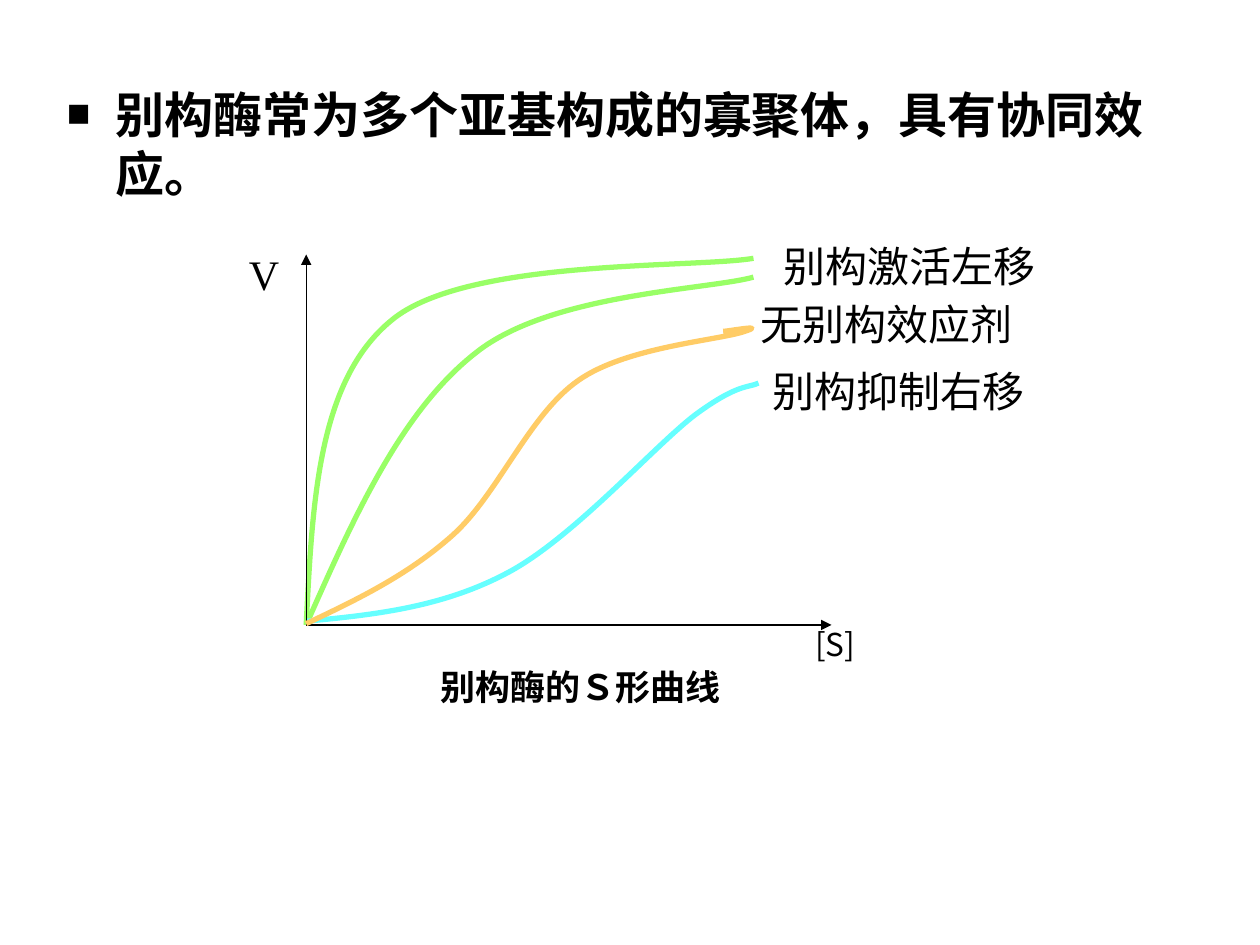
from typing import NamedTuple

from lxml import etree
from pptx import Presentation
from pptx.dml.color import RGBColor
from pptx.enum.shapes import MSO_CONNECTOR
from pptx.enum.text import MSO_ANCHOR, MSO_AUTO_SIZE, PP_ALIGN
from pptx.oxml.ns import qn
from pptx.util import Inches, Pt

LEFT, MID = PP_ALIGN.LEFT, PP_ALIGN.CENTER
SANS, SERIF = "Noto Sans CJK SC", "Times New Roman"
BLACK, GREEN, CYAN, GOLD = "000000", "99FF66", "66FFFF", "FFCC66"

Point = tuple[float, float]


class Curve(NamedTuple):
    color: str
    points: list[Point]  # start, then two controls and an end per section


class Label(NamedTuple):
    text: str
    box: tuple[float, float, float, float]
    size: int = 24
    font: str = SANS
    align: PP_ALIGN = MID
    bold: bool = False


class Axis(NamedTuple):
    end: Point
    width: float


ORIGIN = (2.43, 4.96)
AXES = [Axis((6.6, 4.96), 1.5), Axis((2.43, 2.02), 0.75)]
SHIFTED = [
    Curve(GREEN, [ORIGIN, (2.48, 3.99), (2.52, 3.02), (3.11, 2.54),
                  (3.7, 2.05), (5.51, 2.13), (5.98, 2.05)]),
    Curve(GREEN, [ORIGIN, (2.81, 4.1), (3.19, 3.25), (3.79, 2.79),
                  (4.38, 2.33), (5.62, 2.3), (5.98, 2.2)]),
    Curve(CYAN, [(2.43, 4.93), (2.97, 4.88), (3.51, 4.82), (4.02, 4.55),
                 (4.54, 4.28), (5.19, 3.54), (5.52, 3.29),
                 (5.86, 3.04), (5.94, 3.08), (6.02, 3.04)]),
]
NORMAL = Curve(GOLD, [(2.43, 4.95), (2.83, 4.76), (3.23, 4.57), (3.59, 4.25),
                      (3.95, 3.93), (4.2, 3.29), (4.59, 3.02),
                      (4.97, 2.75), (5.72, 2.7), (5.91, 2.63),
                      (6.1, 2.57), (5.77, 2.63), (5.74, 2.63)])
LABELS = [
    Label("别构激活左移", (5.98, 1.86, 2.48, 0.5)),
    Label("无别构效应剂", (5.94, 2.32, 2.65, 0.5), align=LEFT),
    Label("别构抑制右移", (6.03, 2.85, 2.28, 0.5), align=LEFT),
    Label("别构酶的Ｓ形曲线", (2.72, 5.23, 3.78, 0.44), 20, SERIF, bold=True),
    Label("[S]", (6.22, 4.91, 0.82, 0.4), 18),
    Label("V", (1.85, 1.92, 0.49, 0.5), font=SERIF),
]


def paint(color: str) -> RGBColor:
    return RGBColor.from_string(color)


def style(para, size: int, font: str, bold: bool, align: PP_ALIGN) -> None:
    para.alignment = align
    face = para.font
    face.size, face.name, face.bold = Pt(size), font, bold
    face.color.rgb = paint(BLACK)
    # East Asian face
    props = para._p.get_or_add_pPr().find(qn("a:defRPr"))
    etree.SubElement(props, qn("a:ea"), typeface=SANS)


def add_bullet(para) -> None:
    props = para._p.get_or_add_pPr()
    props.set("marL", str(Inches(0.39)))
    props.set("indent", str(-Inches(0.39)))
    props.set("hangingPunct", "0")  # the full stop wraps with its word
    tint = etree.SubElement(props, qn("a:buClr"))
    etree.SubElement(tint, qn("a:srgbClr"), val=BLACK)
    etree.SubElement(props, qn("a:buSzPct"), val="80000")
    etree.SubElement(props, qn("a:buFont"), typeface=SERIF)
    etree.SubElement(props, qn("a:buChar"), char="■")


def add_title(slide, text: str) -> None:
    title = slide.shapes.title
    title.left, title.top = Inches(0.43), Inches(0.62)
    title.width, title.height = Inches(9.33), Inches(1.03)
    frame = title.text_frame
    frame.text = text
    frame.word_wrap = True
    frame.auto_size = MSO_AUTO_SIZE.NONE
    frame.vertical_anchor = MSO_ANCHOR.MIDDLE
    para = frame.paragraphs[0]
    add_bullet(para)
    style(para, 28, SANS, True, LEFT)


def add_label(slide, label: Label) -> None:
    frame = slide.shapes.add_textbox(*map(Inches, label.box)).text_frame
    frame.text = label.text
    frame.word_wrap = True
    style(frame.paragraphs[0], label.size, label.font, label.bold, label.align)


def bend(shape) -> None:
    """Turn each three straight segments into one cubic section."""
    track = next(shape._element.iter(qn("a:path")))
    lines = track.findall(qn("a:lnTo"))
    for i in range(0, len(lines), 3):
        cubic = etree.SubElement(track, qn("a:cubicBezTo"))
        for line in lines[i:i + 3]:
            cubic.append(line[0])
            track.remove(line)


def add_curve(slide, curve: Curve) -> None:
    spots = [(Inches(x), Inches(y)) for x, y in curve.points]
    pen = slide.shapes.build_freeform(*spots[0])
    pen.add_line_segments(spots[1:], close=False)
    shape = pen.convert_to_shape()
    bend(shape)
    shape.shadow.inherit = False
    shape.fill.background()
    shape.line.color.rgb = paint(curve.color)
    shape.line.width = Pt(3)


def add_axis(slide, axis: Axis) -> None:
    line = slide.shapes.add_connector(
        MSO_CONNECTOR.STRAIGHT, *map(Inches, ORIGIN + axis.end))
    line.line.color.rgb = paint(BLACK)
    line.line.width = Pt(axis.width)
    etree.SubElement(line.line._get_or_add_ln(), qn("a:tailEnd"), type="triangle")
    etree.SubElement(line._element.spPr, qn("a:effectLst"))


def main() -> None:
    deck = Presentation()
    deck.slide_width, deck.slide_height = Inches(10), Inches(7.5)
    slide = deck.slides.add_slide(deck.slide_layouts[5])
    add_title(slide, "别构酶常为多个亚基构成的寡聚体，具有协同效应。")

    # Shifted curves below the axes, normal curve above
    for curve in SHIFTED:
        add_curve(slide, curve)
    for axis in AXES:
        add_axis(slide, axis)
    add_curve(slide, NORMAL)

    # Labels
    for label in LABELS:
        add_label(slide, label)
    deck.save("out.pptx")


if __name__ == "__main__":
    main()
